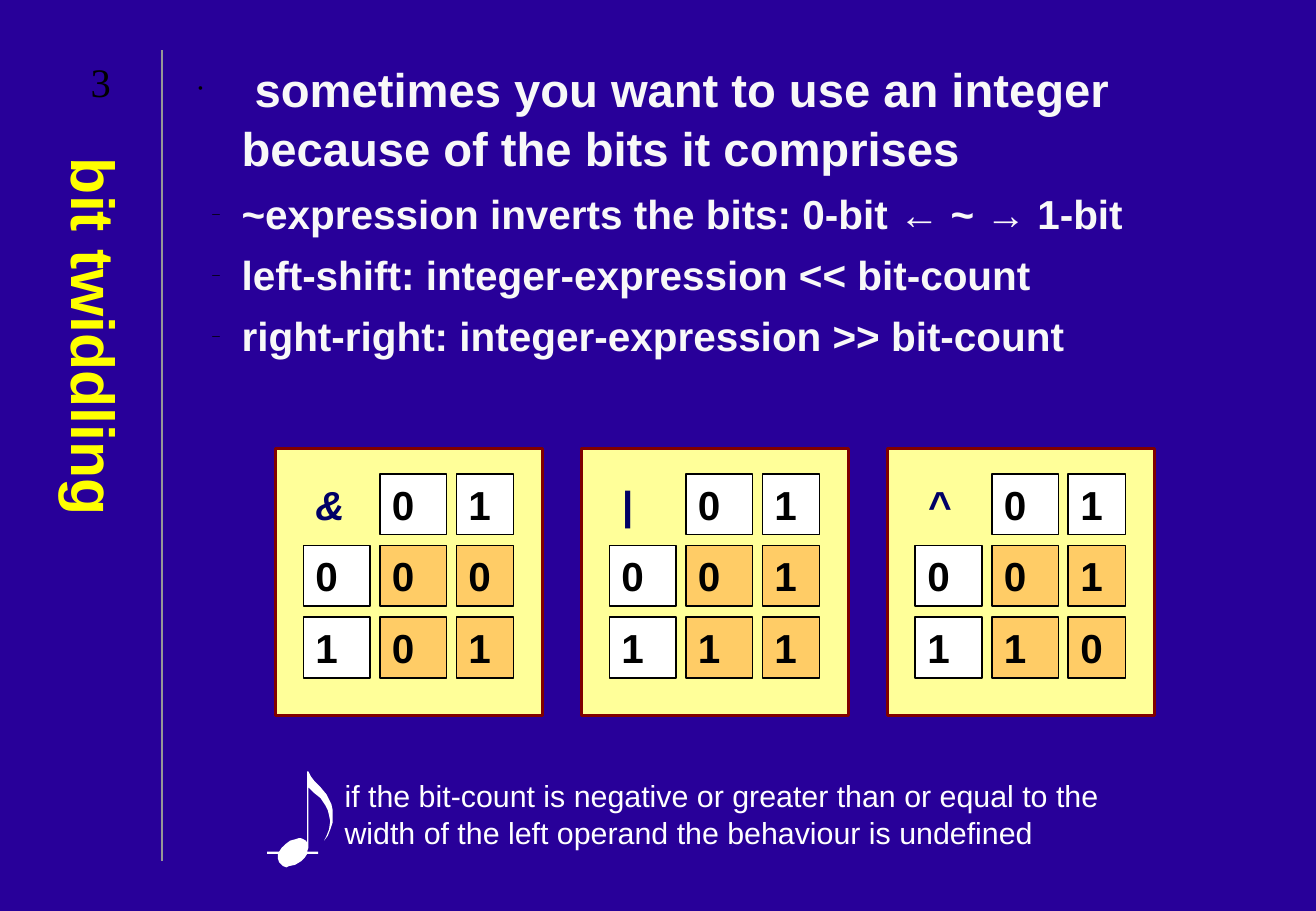
from dataclasses import dataclass
from typing import Callable, NamedTuple

from lxml.etree import SubElement
from pptx import Presentation
from pptx.dml.color import RGBColor
from pptx.enum.shapes import MSO_CONNECTOR, MSO_SHAPE
from pptx.enum.text import MSO_ANCHOR, MSO_AUTO_SIZE, PP_ALIGN
from pptx.oxml.ns import qn
from pptx.util import Emu, Inches, Pt

WIDTH, HEIGHT = Inches(10.84), Inches(7.5)


@dataclass(frozen=True)
class Theme:
    back: str = "280099"
    rule: str = "969696"
    title: str = "FFFF00"
    body: str = "F8F8F8"
    white: str = "FFFFFF"
    black: str = "000000"
    card: str = "FFFF99"
    edge: str = "800000"
    value: str = "FFCC66"
    sign: str = "000066"
    font: str = "Arial"
    serif: str = "Times New Roman"
    head_size: float = 36
    lead_size: float = 28
    text_size: float = 24
    note_size: float = 18


THEME = Theme()


class Box(NamedTuple):
    """Left, top, width and height in percent of the slide."""
    x: float
    y: float
    w: float
    h: float

    def place(self) -> tuple[Emu, Emu, Emu, Emu]:
        return (across(self.x), down(self.y), across(self.w), down(self.h))


class Point(NamedTuple):
    text: str
    level: int
    mark: str
    scale: int
    hang: float
    before: float


class Gate(NamedTuple):
    sign: str
    rule: Callable[[int, int], int]


POINTS = [
    Point(" sometimes you want to use an integer because of the bits it comprises", 0, "•", 32, 0.36, 0),
    *(Point(text, 1, "–", 37, 0.24, 6) for text in (
        "~expression inverts the bits: 0-bit ← ~ → 1-bit",
        "left-shift: integer-expression << bit-count",
        "right-right: integer-expression >> bit-count",
    )),
]

GATES = [
    Gate("&", lambda a, b: a & b),
    Gate("|", lambda a, b: a | b),
    Gate("^", lambda a, b: a ^ b),
]

# Grid of cards, and of cells inside a card
CARD = Box(20.94, 49.2, 20.3, 29.33)
CARD_STEP = 23.25
CELL = Box(2.12, 2.8, 5.07, 6.67)
CELL_STEP = (5.81, 7.87)
LAST_WIDTH = 4.34

# Outline of the quaver, in hundredths of an inch
QUAVER = [
    (10, 75), (9, 72), (9, 68), (0, 68), (0, 66), (10, 66), (12, 63), (15, 60), (19, 57),
    (23, 56), (26, 55), (28, 55), (30, 56), (32, 57), (33, 59), (33, 0), (34, 0), (36, 4),
    (39, 8), (44, 13), (49, 19), (51, 23), (53, 27), (54, 32), (54, 38), (54, 42), (52, 48),
    (50, 53), (47, 57), (49, 53), (51, 48), (52, 41), (51, 36), (50, 32), (48, 28), (44, 22),
    (39, 18), (34, 13), (34, 63), (33, 66), (42, 66), (42, 68), (33, 68), (31, 71), (28, 74),
    (23, 77), (18, 78), (16, 79), (13, 78), (11, 76),
]


def across(share: float) -> Emu:
    return Emu(round(WIDTH * share / 100))


def down(share: float) -> Emu:
    return Emu(round(HEIGHT * share / 100))


def paint(shape, fill: str, line: str | None = None, weight: float = 1) -> None:
    shape.shadow.inherit = False
    shape.fill.solid()
    shape.fill.fore_color.rgb = RGBColor.from_string(fill)
    if line is None:
        shape.line.fill.background()
    else:
        shape.line.color.rgb = RGBColor.from_string(line)
        shape.line.width = Pt(weight)


def write(shape, *lines: str, size: float = THEME.text_size, color: str = THEME.black,
          font: str = THEME.font, bold: bool = False, slant: bool = False,
          align=PP_ALIGN.LEFT, anchor=MSO_ANCHOR.TOP) -> list:
    """Fill a shape with one paragraph for each line."""
    frame = shape.text_frame
    frame.word_wrap = True
    frame.auto_size = MSO_AUTO_SIZE.NONE
    frame.vertical_anchor = anchor
    frame.text = "\n".join(lines)
    for para in frame.paragraphs:
        para.alignment = align
        para.space_before = Pt(0)
        for run in para.runs:
            run.font.size = Pt(size)
            run.font.name = font
            run.font.bold = bold
            run.font.italic = slant
            run.font.color.rgb = RGBColor.from_string(color)
    return list(frame.paragraphs)


def mark(para, point: Point) -> None:
    """Give a paragraph its level, hanging indent and bullet."""
    para.level = point.level
    props = para._p.get_or_add_pPr()
    props.set("marL", str(Inches(0.47)))
    props.set("indent", str(-Inches(point.hang)))
    tint = SubElement(props, qn("a:buClr"))
    SubElement(tint, qn("a:srgbClr"), val=THEME.black)
    SubElement(props, qn("a:buSzPct"), val=str(point.scale * 1000))
    SubElement(props, qn("a:buFont"), typeface=THEME.serif)
    SubElement(props, qn("a:buChar"), char=point.mark)
    para.space_before = Pt(point.before)
    para.line_spacing = 1.05


def draw_gate(shapes, gate: Gate, index: int) -> None:
    """Draw one truth table: the sign, the operands and the values."""
    left = CARD.x + index * CARD_STEP
    card = shapes.add_shape(MSO_SHAPE.RECTANGLE, *CARD._replace(x=left).place())
    paint(card, THEME.card, THEME.edge, 2)
    for row in range(3):
        for col in range(3):
            spot = Box(left + CELL.x + col * CELL_STEP[0], CARD.y + CELL.y + row * CELL_STEP[1],
                       LAST_WIDTH if col == 2 else CELL.w, CELL.h).place()
            if row == col == 0:
                write(shapes.add_textbox(*spot), gate.sign, color=THEME.sign, bold=True, slant=True)
                continue
            inner = row > 0 and col > 0
            bit = gate.rule(row - 1, col - 1) if inner else max(row, col) - 1
            cell = shapes.add_shape(MSO_SHAPE.RECTANGLE, *spot)
            paint(cell, THEME.value if inner else THEME.white, THEME.black)
            write(cell, str(bit), bold=True)


def main() -> None:
    deck = Presentation()
    deck.slide_width, deck.slide_height = WIDTH, HEIGHT
    slide = deck.slides.add_slide(deck.slide_layouts[1])
    shapes = slide.shapes
    slide.background.fill.solid()
    slide.background.fill.fore_color.rgb = RGBColor.from_string(THEME.back)

    # Side rule
    rule = shapes.add_connector(MSO_CONNECTOR.STRAIGHT, across(12.31), down(94.53), across(12.31), down(5.47))
    rule.line.color.rgb = RGBColor.from_string(THEME.rule)
    rule.line.width = Pt(0.75)
    SubElement(rule._element.spPr, qn("a:effectLst"))

    # Upright title
    title = shapes.title
    title.left, title.top, title.width, title.height = Box(3.04, 16.67, 8.49, 77.73).place()
    write(title, "bit twiddling", size=THEME.head_size, color=THEME.title, bold=True,
          align=PP_ALIGN.CENTER, anchor=MSO_ANCHOR.MIDDLE)
    title.text_frame._txBody.bodyPr.set("vert", "eaVert")

    # Bullet list
    body = slide.placeholders[1]
    body.left, body.top, body.width, body.height = Box(13.1, 5.6, 82.29, 88.93).place()
    paras = write(body, *(point.text for point in POINTS), color=THEME.body, bold=True)
    for para, point in zip(paras, POINTS):
        mark(para, point)
    paras[0].runs[0].font.size = Pt(THEME.lead_size)

    # Truth tables
    for index, gate in enumerate(GATES):
        draw_gate(shapes, gate, index)

    # Note with its quaver
    note = shapes.add_textbox(*Box(25.28, 84.67, 64.67, 9.33).place())
    write(note, "if the bit-count is negative or greater than or equal to the width of the left "
          "operand the behaviour is undefined", size=THEME.note_size, color=THEME.white)
    pen = shapes.build_freeform(*QUAVER[0], scale=Inches(0.01))
    pen.add_line_segments(QUAVER[1:], close=True)
    paint(pen.convert_to_shape(across(20.3), down(84.67)), THEME.white)

    # Page number
    page = shapes.add_textbox(*Box(3.87, 5.6, 7.56, 6.67).place())
    write(page, "3", font=THEME.serif, align=PP_ALIGN.CENTER, anchor=MSO_ANCHOR.MIDDLE)

    deck.save("out.pptx")


if __name__ == "__main__":
    main()
